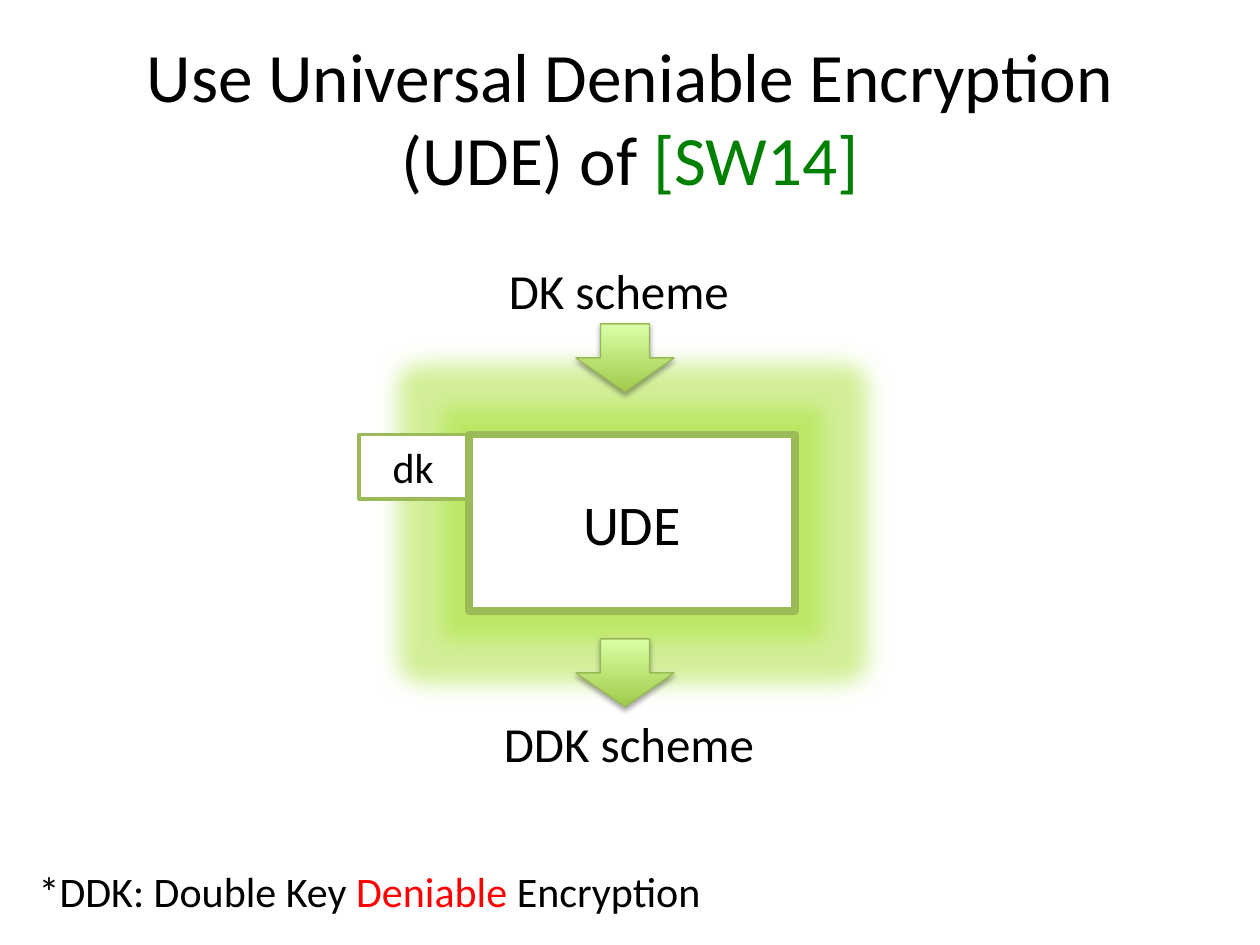
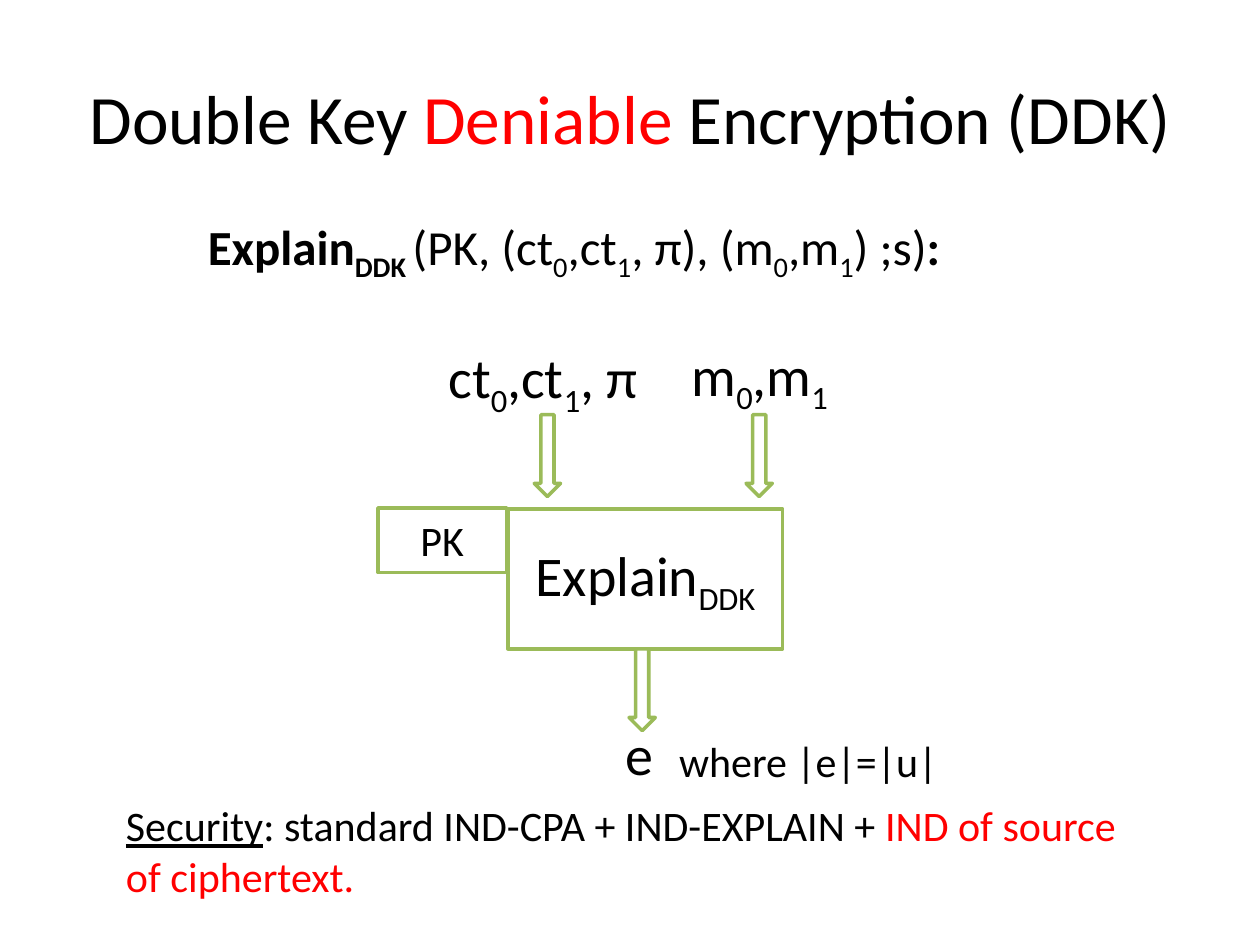
from lxml import etree
from pptx import Presentation
from pptx import util as u
from pptx.dml.color import RGBColor
from pptx.enum import shapes, text
from pptx.oxml import ns

BLACK = RGBColor(0x00, 0x00, 0x00)
WHITE = RGBColor(0xFF, 0xFF, 0xFF)
RED = RGBColor(0xFF, 0x00, 0x00)
CITATION = RGBColor(0x00, 0x80, 0x00)
OLIVE = RGBColor(0x9B, 0xBB, 0x59)
ARROW_EDGE = RGBColor(0x98, 0xB9, 0x55)
ARROW_DARK = RGBColor(0xA0, 0xCA, 0x4A)
ARROW_LIGHT = RGBColor(0xDA, 0xFF, 0xA5)
GLOW = RGBColor(0xA5, 0xE0, 0x31)

FONT = "Calibri"
TITLE_SIZE, LARGE, MEDIUM, SMALL = 39.6, 32, 28, 24


class Slides:
    def __init__(self):
        self.deck = Presentation()
        self.deck.slide_width = u.Cm(25.4)
        self.deck.slide_height = u.Cm(19.05)
        self.page = None

    def new_page(self):
        self.page = self.deck.slides.add_slide(self.deck.slide_layouts[6])

    def fill_text(self, box, spans, size, centred=False, wrap=True):
        frame = box.text_frame
        frame.word_wrap = wrap
        para = frame.paragraphs[0]
        if centred:
            frame.vertical_anchor = text.MSO_ANCHOR.MIDDLE
            para.alignment = text.PP_ALIGN.CENTER
        for words, marks, colour in spans:
            span = para.add_run()
            span.text = words
            span.font.name = FONT
            span.font.size = u.Pt(size)
            span.font.color.rgb = colour
            span.font.bold = "bold" in marks
            span.font.underline = "underline" in marks
            if "sub" in marks:
                span.font._element.set("baseline", "-25000")

    def label(self, left, top, width, height, spans, size, centred=False, wrap=False):
        box = self.page.shapes.add_textbox(*map(u.Cm, (left, top, width, height)))
        self.fill_text(box, spans, size, centred, wrap)

    def title(self, spans):
        self.label(1.27, 0.76, 22.86, 3.18, spans, TITLE_SIZE, centred=True, wrap=True)

    def shape(self, kind, left, top, width, height, edge=OLIVE, weight=2):
        box = self.page.shapes.add_shape(kind, *map(u.Cm, (left, top, width, height)))
        box.shadow.inherit = False
        box.fill.solid()
        box.fill.fore_color.rgb = WHITE
        box.line.color.rgb = edge
        box.line.width = u.Pt(weight)
        return box

    def block(self, left, top, width, height, spans, size, weight=2):
        box = self.shape(shapes.MSO_SHAPE.RECTANGLE, left, top, width, height, weight=weight)
        self.fill_text(box, spans, size, centred=True)
        return box

    def effect(self, box, kind, colour, alpha, **settings):
        effects = box._element.spPr.find(ns.qn("a:effectLst"))
        effect = etree.SubElement(effects, ns.qn(f"a:{kind}"))
        for name, value in settings.items():
            effect.set(name, str(value))
        shade = etree.SubElement(effect, ns.qn("a:srgbClr"), val=str(colour))
        etree.SubElement(shade, ns.qn("a:alpha"), val=str(alpha * 1000))

    def scheme_arrow(self, top):
        arrow = self.shape(shapes.MSO_SHAPE.DOWN_ARROW, 11.61, top, 1.98, 1.37,
                           ARROW_EDGE, 0.75)
        arrow.fill.gradient()
        arrow.fill.gradient_angle = 90
        for stop, colour in zip(arrow.fill.gradient_stops, (ARROW_DARK, ARROW_LIGHT)):
            stop.color.rgb = colour
        self.effect(arrow, "outerShdw", BLACK, 35, blurRad=40000, dist=23000,
                    dir=5400000, rotWithShape=0)

    def flow_arrow(self, left, top):
        arrow = self.shape(shapes.MSO_SHAPE.RIGHT_ARROW, left, top, 1.65, 0.53)
        arrow.rotation = 90


def plain(words, colour=BLACK):
    return words, "", colour


def sub(words, marks=""):
    return words, "sub " + marks, BLACK


def indexed_pair(name):
    return [plain(name), sub("0"), plain("," + name), sub("1")]


def build_universal_encryption(slides):
    slides.new_page()
    slides.title([plain("Use Universal Deniable Encryption (UDE) of "),
                  plain("[SW14]", CITATION)])
    scheme = slides.block(9.45, 8.76, 6.58, 3.56, [plain("UDE")], LARGE, weight=4.5)
    slides.effect(scheme, "glow", GLOW, 50, rad=u.Pt(26))
    slides.block(7.24, 8.76, 2.18, 1.3, [plain("dk")], SMALL)
    slides.scheme_arrow(6.53)
    slides.label(10.01, 5.13, 5, 1.45, [plain("DK scheme")], MEDIUM)
    slides.label(9.91, 14.25, 5.61, 1.45, [plain("DDK scheme")], MEDIUM)
    slides.scheme_arrow(12.88)
    slides.label(0.53, 17.32, 17.81, 1.27,
                 [plain("*DDK: Double Key"), plain(" Deniable ", RED), plain("Encryption")],
                 SMALL, wrap=True)


def build_double_key(slides):
    slides.new_page()
    slides.block(10.24, 10.26, 5.54, 2.82, [plain("Explain"), sub("DDK")], LARGE)
    slides.block(7.62, 10.24, 2.59, 1.3, [plain("PK")], SMALL)
    slides.title([plain("Double Key "), plain("Deniable ", RED), plain("Encryption (DDK)")])
    ciphertexts, messages = indexed_pair("ct"), indexed_pair("m")
    signature = [("Explain", "bold", BLACK), sub("DDK ", "bold"), plain("(PK, ("),
                 *ciphertexts, plain(", π), ("), *messages, plain(") ;s)"),
                 (":", "bold", BLACK)]
    slides.label(3.94, 4.24, 15.8, 1.45, signature, MEDIUM)
    slides.label(13.69, 6.73, 3.38, 1.63, messages, LARGE)
    slides.label(8.79, 6.78, 4.47, 1.63, [*ciphertexts, plain(", π")], LARGE)
    for left, top in ((12.12, 13.64), (14.48, 8.92), (10.21, 8.92)):
        slides.flow_arrow(left, top)
    slides.label(12.37, 14.38, 1.09, 1.63, [plain("e")], LARGE)
    slides.label(2.29, 16, 20.96, 2.31,
                 [("Security", "underline", BLACK),
                  plain(": standard IND-CPA + IND-EXPLAIN + "),
                  plain("IND of source of ciphertext.", RED)], SMALL, wrap=True)
    slides.label(13.44, 14.71, 5.79, 2.31, [plain("where |e|=|u|")], SMALL)


def main():
    slides = Slides()
    build_universal_encryption(slides)
    build_double_key(slides)
    slides.deck.save("out.pptx")


if __name__ == "__main__":
    main()
